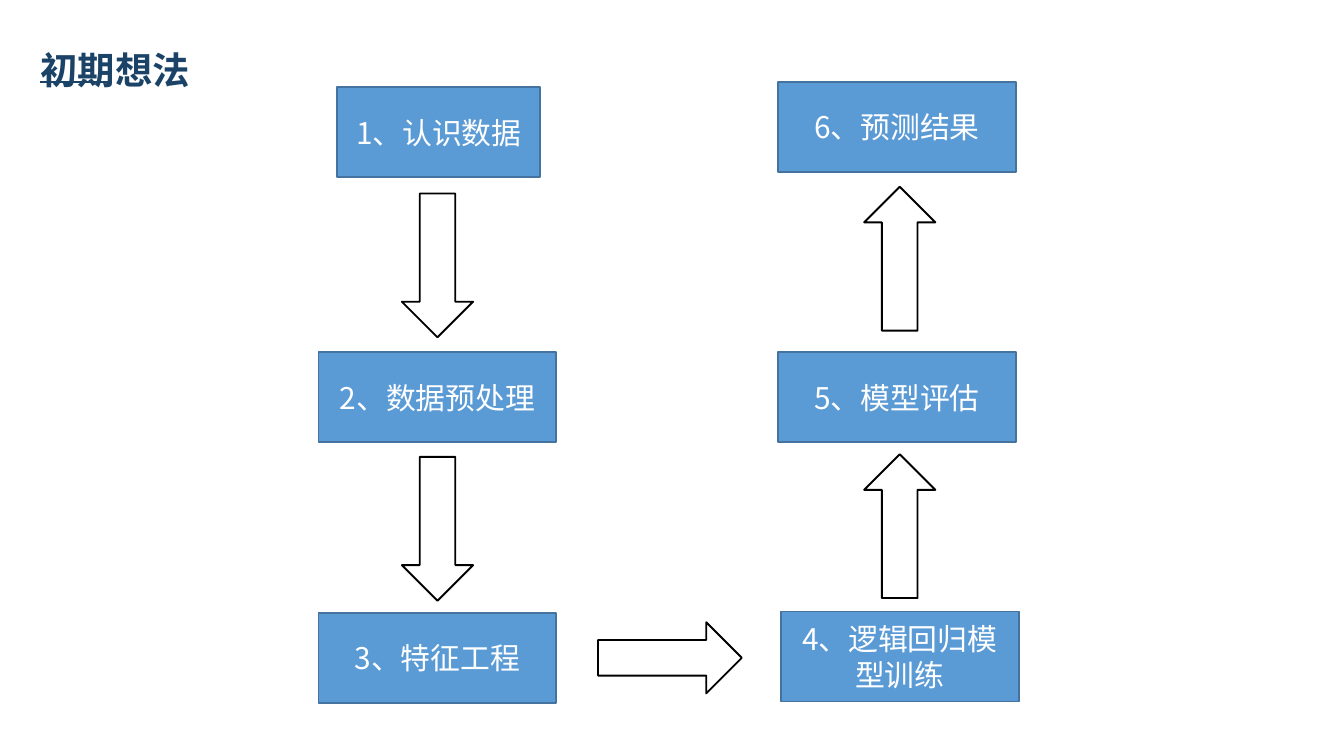
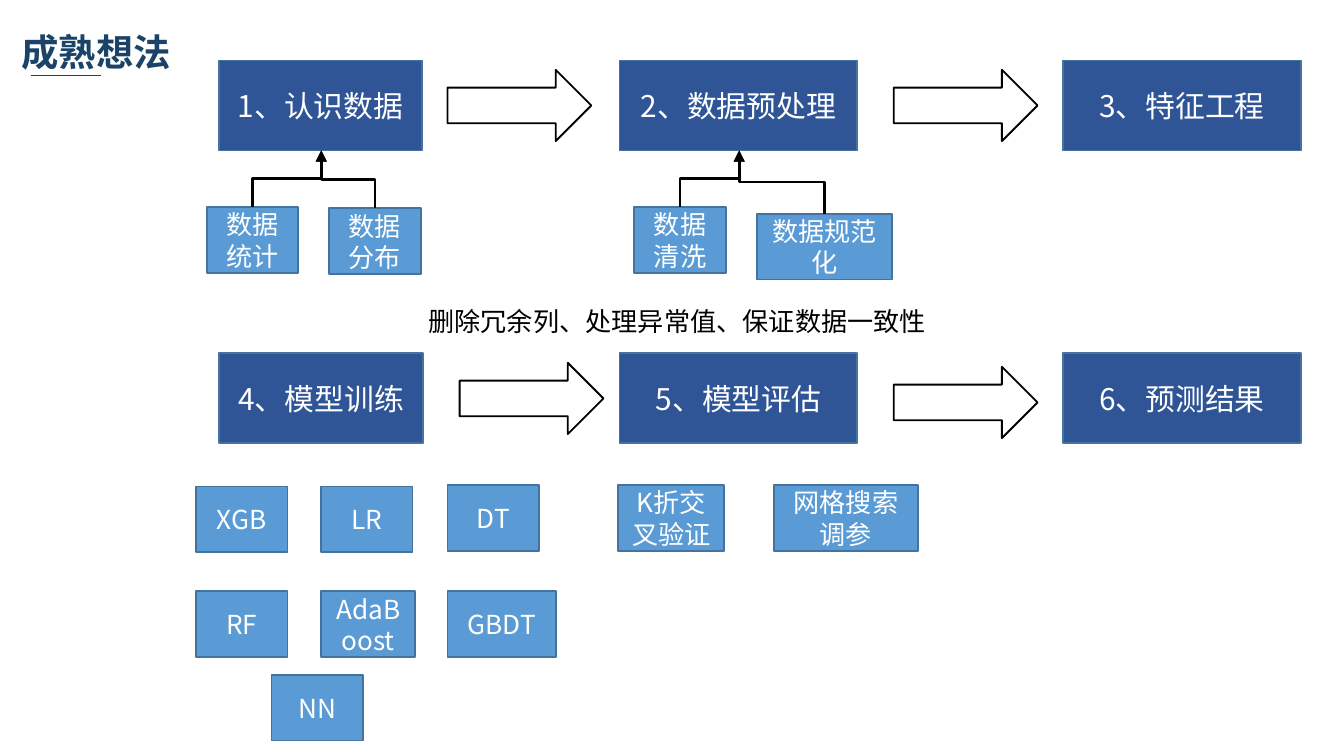
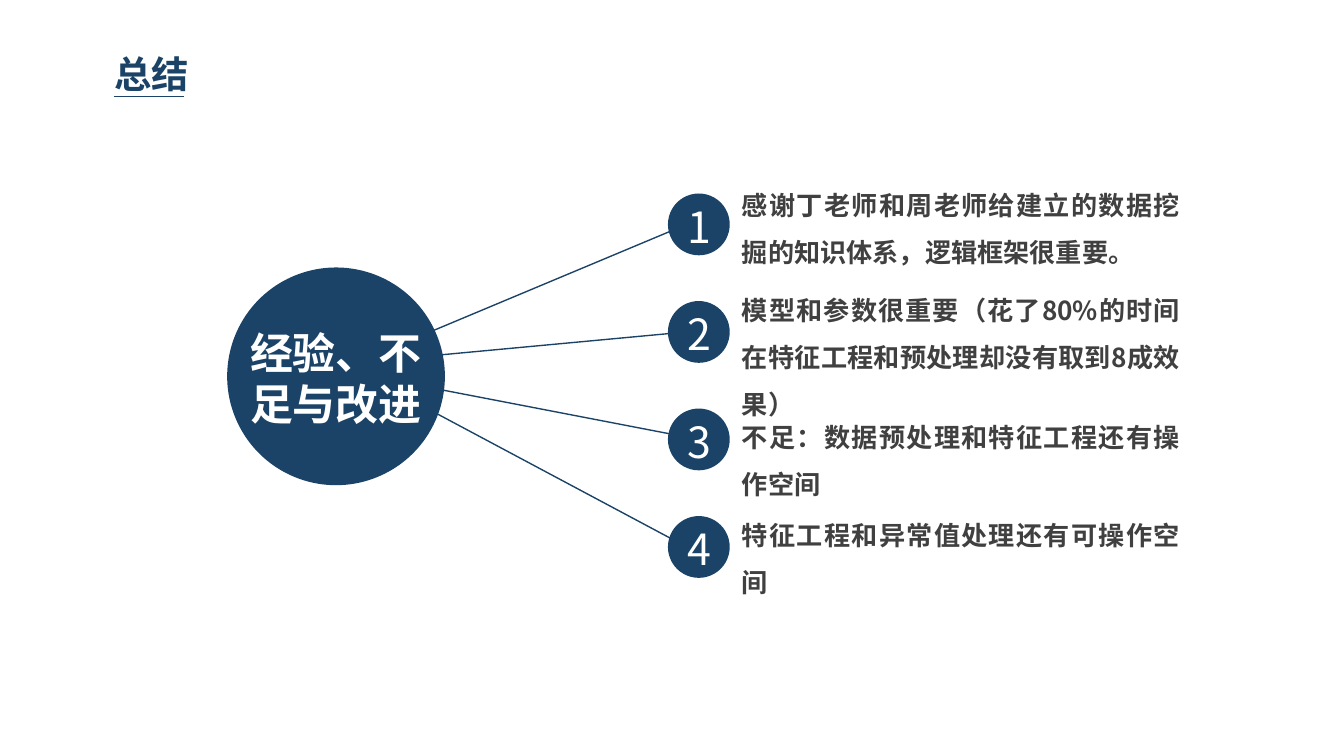
from dataclasses import dataclass

from lxml.etree import SubElement
from pptx import Presentation
from pptx.dml.color import RGBColor
from pptx.enum.shapes import MSO_CONNECTOR, MSO_SHAPE
from pptx.enum.text import MSO_ANCHOR, MSO_AUTO_SIZE, PP_ALIGN
from pptx.oxml.ns import qn
from pptx.util import Inches, Pt


@dataclass(frozen=True)
class Theme:
    font: str = "Noto Sans CJK SC"
    navy: str = "1B4367"
    step_blue: str = "2F5597"
    light_blue: str = "5B9BD5"
    border: str = "43739E"
    grey: str = "404040"
    black: str = "000000"
    white: str = "FFFFFF"
    title_size: int = 20
    step_size: int = 16
    detail_size: int = 14
    circle_size: int = 23
    default_inset: tuple = (0.1, 0.05)
    tight_inset: tuple = (0.07, 0.04)


THEME = Theme()
PAGE_WIDTH = 10
PAGE_HEIGHT = PAGE_WIDTH * 9 / 16
STEP_WIDTH, STEP_HEIGHT = 1.77, 0.67
DETAIL_WIDTH, DETAIL_HEIGHT = 0.68, 0.49
ARROW_WIDTH, ARROW_HEIGHT = 1.07, 0.53


# Text
def write(shape, text, size, color, bold=False, align=PP_ALIGN.LEFT,
          anchor=MSO_ANCHOR.TOP, inset=THEME.default_inset, spacing=None,
          wrap=True):
    frame = shape.text_frame
    frame.word_wrap = wrap
    frame.vertical_anchor = anchor
    frame.margin_left = frame.margin_right = Inches(inset[0])
    frame.margin_top = frame.margin_bottom = Inches(inset[1])
    para = frame.paragraphs[0]
    para.alignment = align
    if spacing:
        para.line_spacing = spacing
    span = para.add_run()
    span.text = text
    span.font.size = Pt(size)
    span.font.bold = bold
    span.font.color.rgb = RGBColor.from_string(color)
    span.font.name = THEME.font
    east_asian = SubElement(span.font._element, qn("a:ea"))
    east_asian.set("typeface", THEME.font)


def add_text(shapes, place, text, size, color, **style):
    box = shapes.add_textbox(*map(Inches, place))
    write(box, text, size, color, **style)
    box.text_frame.auto_size = MSO_AUTO_SIZE.SHAPE_TO_FIT_TEXT


# Shapes and lines
def add_figure(shapes, kind, place, fill, outline=None):
    figure = shapes.add_shape(kind, *map(Inches, place))
    figure.shadow.inherit = False
    figure.fill.solid()
    figure.fill.fore_color.rgb = RGBColor.from_string(fill)
    if outline:
        figure.line.color.rgb = RGBColor.from_string(outline)
        figure.line.width = Pt(1)
    else:
        figure.line.fill.background()
    return figure


def add_box(page, place, text, fill, size):
    box = add_figure(page.shapes, MSO_SHAPE.RECTANGLE, place, fill, THEME.border)
    write(box, text, size, THEME.white, align=PP_ALIGN.CENTER,
          anchor=MSO_ANCHOR.MIDDLE)


def add_step(page, left, top, text, fill, width=STEP_WIDTH):
    add_box(page, (left, top, width, STEP_HEIGHT), text, fill, THEME.step_size)


def add_detail(page, left, top, text, width=DETAIL_WIDTH):
    add_box(page, (left, top, width, DETAIL_HEIGHT), text, THEME.light_blue,
            THEME.detail_size)


def add_block_arrow(page, left, top, rotation=0):
    arrow = add_figure(page.shapes, MSO_SHAPE.RIGHT_ARROW,
                       (left, top, ARROW_WIDTH, ARROW_HEIGHT),
                       THEME.white, THEME.black)
    arrow.rotation = rotation


def add_line(page, start, end, color=THEME.navy, width=0.75,
             kind=MSO_CONNECTOR.STRAIGHT):
    line = page.shapes.add_connector(kind, *map(Inches, (*start, *end)))
    line.line.color.rgb = RGBColor.from_string(color)
    line.line.width = Pt(width)
    SubElement(line._element.spPr, qn("a:effectLst"))
    return line


def add_upward_elbow(page, start, end):
    """Elbow that leaves start upwards and enters end from below."""
    (x1, y1), (x2, y2) = start, end
    middle_x, middle_y = (x1 + x2) / 2, (y1 + y2) / 2
    half_rise, half_run = (y1 - y2) / 2, abs(x2 - x1) / 2
    side = 1 if x2 > x1 else -1
    elbow = add_line(page,
                     (middle_x + side * half_rise, middle_y + half_run),
                     (middle_x - side * half_rise, middle_y - half_run),
                     THEME.black, 1.5, MSO_CONNECTOR.ELBOW)
    degrees = 90 if side > 0 else 270
    elbow._element.spPr.find(qn("a:xfrm")).set("rot", str(degrees * 60000))
    head = SubElement(elbow.line._get_or_add_ln(), qn("a:tailEnd"))
    head.set("type", "triangle")


def add_circle(page, place, text_place, text, bold=False):
    group = page.shapes.add_group_shape()
    add_figure(group.shapes, MSO_SHAPE.OVAL, place, THEME.navy)
    add_text(group.shapes, text_place, text, THEME.circle_size, THEME.white,
             bold=bold, align=PP_ALIGN.CENTER)


# Page with its underlined title
def add_page(deck, title, left, top, rule_left, rule_top):
    page = deck.slides.add_slide(deck.slide_layouts[5])
    heading = page.shapes.title
    heading.left, heading.top = Inches(left), Inches(top)
    heading.width, heading.height = Inches(2.47), Inches(0.41)
    write(heading, title, THEME.title_size, THEME.navy, bold=True,
          inset=THEME.tight_inset)
    heading.text_frame.auto_size = MSO_AUTO_SIZE.SHAPE_TO_FIT_TEXT
    add_line(page, (rule_left, rule_top), (rule_left + 0.52, rule_top))
    return page


def build_first_idea(deck):
    page = add_page(deck, "初期想法", 0.23, 0.31, 0.3, 0.61)
    add_step(page, 2.51, 0.65, "1、认识数据", THEME.light_blue, 1.51)
    for left, top, text in [
        (2.37, 2.62, "2、数据预处理"),
        (2.37, 4.56, "3、特征工程"),
        (5.81, 4.55, "4、逻辑回归模型训练"),
        (5.79, 2.62, "5、模型评估"),
        (5.79, 0.61, "6、预测结果"),
    ]:
        add_step(page, left, top, text, THEME.light_blue)
    # Down the left column, across, up the right column
    for left, top, rotation in [
        (2.72, 1.71, 90), (2.72, 3.67, 90), (4.45, 4.63, 0),
        (6.16, 3.65, 270), (6.16, 1.66, 270),
    ]:
        add_block_arrow(page, left, top, rotation)


def build_mature_idea(deck):
    page = add_page(deck, "成熟想法", 0.09, 0.18, 0.23, 0.56)
    # Two rows of three steps
    lefts = [1.63, 4.61, 7.91]
    rows = [
        (0.45, 1.51, ["1、认识数据", "2、数据预处理", "3、特征工程"]),
        (2.63, 1.52, ["4、模型训练", "5、模型评估", "6、预测结果"]),
    ]
    for top, first_width, names in rows:
        widths = [first_width, STEP_WIDTH, STEP_WIDTH]
        for left, width, name in zip(lefts, widths, names):
            add_step(page, left, top, name, THEME.step_blue, width)
    for left, top in [(3.33, 0.52), (6.65, 0.52), (3.42, 2.7), (6.65, 2.73)]:
        add_block_arrow(page, left, top)

    # Data tasks feeding the first two steps
    for left, top, text, width, target in [
        (1.54, 1.54, "数据统计", DETAIL_WIDTH, 2.39),
        (2.45, 1.55, "数据分布", DETAIL_WIDTH, 2.39),
        (4.72, 1.54, "数据清洗", DETAIL_WIDTH, 5.5),
        (5.63, 1.59, "数据规范化", 1.01, 5.5),
    ]:
        add_detail(page, left, top, text, width)
        add_upward_elbow(page, (left + width / 2, top), (target, 1.12))
    add_text(page.shapes, (3.09, 2.22, 3.93, 0.34),
             "删除冗余列、处理异常值、保证数据一致性",
             THEME.detail_size, THEME.black, wrap=False)

    # Models and evaluation methods
    for left, top, text, width in [
        (1.46, 3.62, "XGB", DETAIL_WIDTH),
        (2.39, 3.62, "LR", DETAIL_WIDTH),
        (3.33, 3.61, "DT", DETAIL_WIDTH),
        (1.46, 4.4, "RF", DETAIL_WIDTH),
        (2.39, 4.4, "AdaBoost", 0.7),
        (3.33, 4.4, "GBDT", 0.81),
        (2.02, 5.02, "NN", DETAIL_WIDTH),
        (4.6, 3.61, "K折交叉验证", 0.79),
        (5.76, 3.61, "网格搜索调参", 1.07),
    ]:
        add_detail(page, left, top, text, width)


def build_summary(deck):
    page = add_page(deck, "总结", 0.78, 0.34, 0.85, 0.72)
    # Spokes lie behind the circles
    for start, end in [
        ((2.65, 2.7), (5.11, 1.67)), ((2.64, 2.7), (5.11, 2.47)),
        ((2.71, 2.79), (5.2, 3.27)), ((2.71, 2.79), (5.11, 4.07)),
    ]:
        add_line(page, start, end)
    add_circle(page, (1.69, 1.99, 1.62, 1.62), (1.69, 2.38, 1.62, 0.88),
               "经验、不足与改进", bold=True)

    # Numbered lessons
    lessons = [
        (1.25, 0.74, "感谢丁老师和周老师给建立的数据挖掘的知识体系，逻辑框架很重要。"),
        (2.03, 1.09, "模型和参数很重要（花了80%的时间在特征工程和预处理却没有取到8成效果）"),
        (2.98, 0.74, "不足：数据预处理和特征工程还有操作空间"),
        (3.71, 0.74, "特征工程和异常值处理还有可操作空间"),
    ]
    for index, (text_top, height, lesson) in enumerate(lessons):
        top = 1.44 + 0.8 * index
        add_circle(page, (4.97, top, 0.46, 0.46), (4.98, top, 0.45, 0.49),
                   str(index + 1))
        add_text(page.shapes, (5.45, text_top, 3.4, height), lesson,
                 THEME.detail_size, THEME.grey, bold=True,
                 align=PP_ALIGN.JUSTIFY, inset=THEME.tight_inset, spacing=1.5)


def main():
    deck = Presentation()
    deck.slide_width, deck.slide_height = Inches(PAGE_WIDTH), Inches(PAGE_HEIGHT)
    build_first_idea(deck)
    build_mature_idea(deck)
    build_summary(deck)
    deck.save("out.pptx")


if __name__ == "__main__":
    main()
